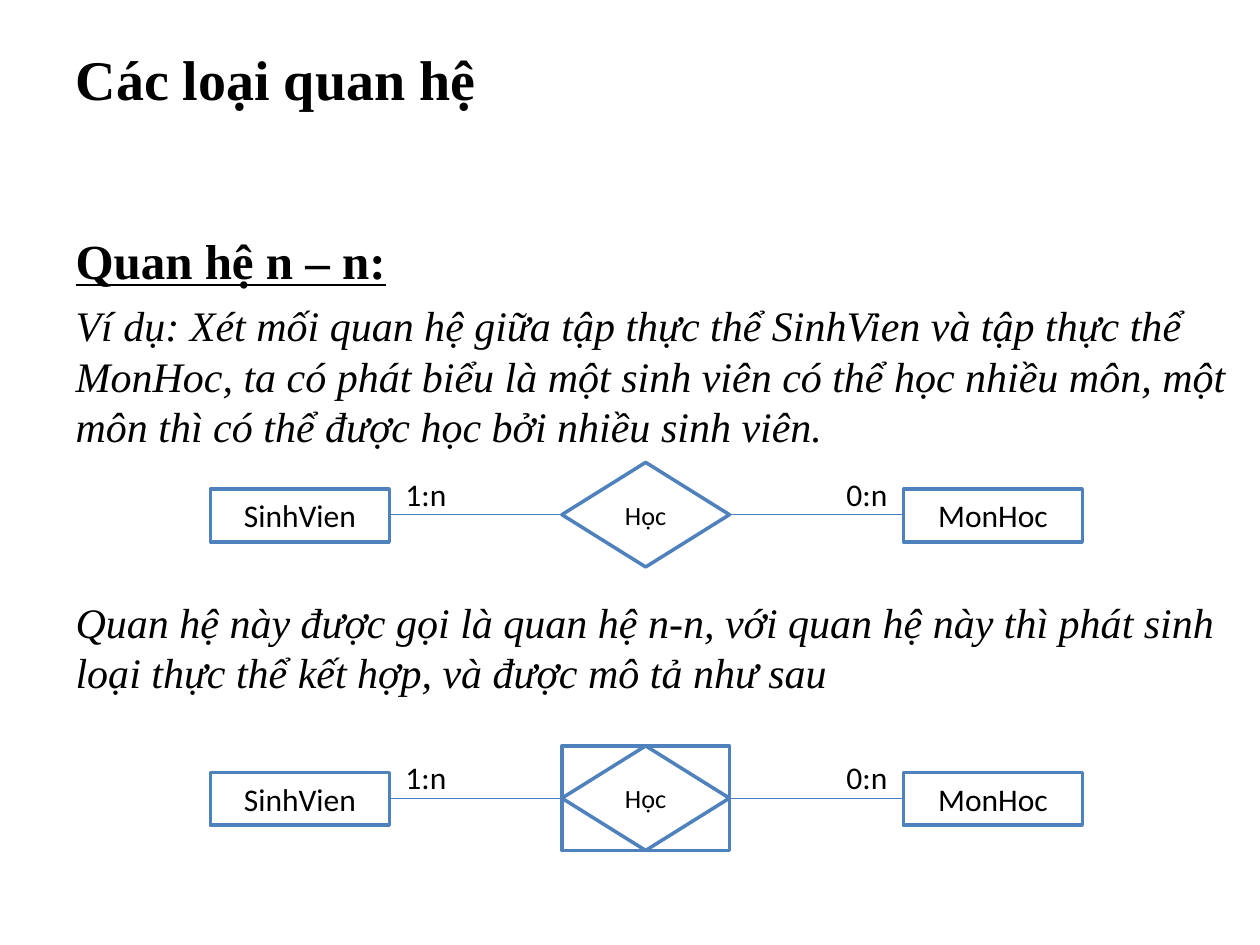
from dataclasses import dataclass

from lxml import etree
from pptx import Presentation
from pptx.dml.color import RGBColor
from pptx.enum.shapes import MSO_CONNECTOR, MSO_SHAPE
from pptx.enum.text import MSO_ANCHOR, MSO_AUTO_SIZE, PP_ALIGN
from pptx.oxml.ns import qn
from pptx.util import Inches, Pt

RECTANGLE = MSO_SHAPE.RECTANGLE
DIAMOND = MSO_SHAPE.DIAMOND
STRAIGHT = MSO_CONNECTOR.STRAIGHT
TOP = MSO_ANCHOR.TOP
MIDDLE = MSO_ANCHOR.MIDDLE
LEFT = PP_ALIGN.LEFT
CENTER = PP_ALIGN.CENTER
NO_FIT = MSO_AUTO_SIZE.NONE


@dataclass(frozen=True)
class Theme:
    text: RGBColor = RGBColor(0x00, 0x00, 0x00)
    fill: RGBColor = RGBColor(0xFF, 0xFF, 0xFF)
    outline: RGBColor = RGBColor(0x4F, 0x81, 0xBD)
    link: RGBColor = RGBColor(0x4B, 0x7E, 0xBC)
    heading_font: str = "Times New Roman"
    diagram_font: str = "Calibri"
    title_size: int = 32
    heading_size: int = 28
    body_size: int = 24
    entity_size: int = 18
    relation_size: int = 15


theme = Theme()


def set_font(paragraph, name, size, bold=False, italic=False, underline=False):
    font = paragraph.font
    font.name = name
    font.size = Pt(size)
    font.bold = bold
    font.italic = italic
    font.underline = underline
    font.color.rgb = theme.text


def add_node(slide, kind, left, top, width, height, text, size):
    shape = slide.shapes.add_shape(
        kind, Inches(left), Inches(top), Inches(width), Inches(height))
    shape.shadow.inherit = False
    shape.line.color.rgb = theme.outline
    shape.line.width = Pt(2)
    if not text:
        shape.fill.background()
        return
    shape.fill.solid()
    shape.fill.fore_color.rgb = theme.fill
    shape.text_frame.vertical_anchor = MIDDLE
    paragraph = shape.text_frame.paragraphs[0]
    paragraph.text = text
    paragraph.alignment = CENTER
    set_font(paragraph, theme.diagram_font, size)


presentation = Presentation()
presentation.slide_width = Inches(10)
presentation.slide_height = Inches(7.5)
slide = presentation.slides.add_slide(presentation.slide_layouts[1])

title = slide.shapes.title
title.left, title.top = Inches(0.5), Inches(0.3)
title.width, title.height = Inches(9), Inches(1.25)
title.text_frame.vertical_anchor = TOP
title.text_frame.auto_size = NO_FIT
paragraph = title.text_frame.paragraphs[0]
paragraph.text = "Các loại quan hệ"
paragraph.alignment = LEFT
set_font(paragraph, theme.title_size and theme.heading_font, theme.title_size, bold=True)

body = slide.placeholders[1]
body.left, body.top = Inches(0.5), Inches(1.78)
body.width, body.height = Inches(9.5), Inches(5.72)
body.text_frame.auto_size = NO_FIT
body_paragraphs = [
    ("Quan hệ n – n:", 0, theme.heading_size, True),
    ("Ví dụ: Xét mối quan hệ giữa tập thực thể SinhVien và tập thực thể "
     "MonHoc, ta có phát biểu là một sinh viên có thể học nhiều môn, một "
     "môn thì có thể được học bởi nhiều sinh viên.", 6, theme.body_size, False),
    ("Quan hệ này được gọi là quan hệ n-n, với quan hệ này thì phát sinh "
     "loại thực thể kết hợp, và được mô tả như sau", 83, theme.body_size, False),
]
for index, (text, space, size, is_heading) in enumerate(body_paragraphs):
    frame = body.text_frame
    paragraph = frame.add_paragraph() if index else frame.paragraphs[0]
    paragraph.text = text
    paragraph.space_before = Pt(space)
    properties = paragraph._p.get_or_add_pPr()
    properties.set("marL", "0")
    properties.set("indent", "0")
    etree.SubElement(properties, qn("a:buNone"))
    set_font(paragraph, theme.heading_font, size,
             bold=is_heading, italic=not is_heading, underline=is_heading)

entities = [("SinhVien", 1.67), ("MonHoc", 7.17)]
links = [(3.08, 4.46), (5.79, 7.17)]
cardinalities = [("1:n", 3.12), ("0:n", 6.62)]

for top, is_associative in [(3.67, False), (5.92, True)]:
    for name, left in entities:
        add_node(slide, RECTANGLE, left, top + 0.21, 1.42, 0.42, name, theme.entity_size)
    add_node(slide, DIAMOND, 4.46, top, 1.33, 0.83, "Học", theme.relation_size)
    for start, end in links:
        connector = slide.shapes.add_connector(
            STRAIGHT, Inches(start), Inches(top + 0.415), Inches(end), Inches(top + 0.415))
        connector.line.color.rgb = theme.link
        connector.line.width = Pt(0.75)
        etree.SubElement(connector._element.spPr, qn("a:effectLst"))
    for text, left in cardinalities:
        label = slide.shapes.add_textbox(
            Inches(left), Inches(top + 0.05), Inches(0.53), Inches(0.4))
        label.text_frame.word_wrap = False
        paragraph = label.text_frame.paragraphs[0]
        paragraph.text = text
        set_font(paragraph, theme.diagram_font, theme.entity_size)
    if is_associative:
        add_node(slide, RECTANGLE, 4.46, top, 1.33, 0.83, "", theme.relation_size)

presentation.save("out.pptx")
